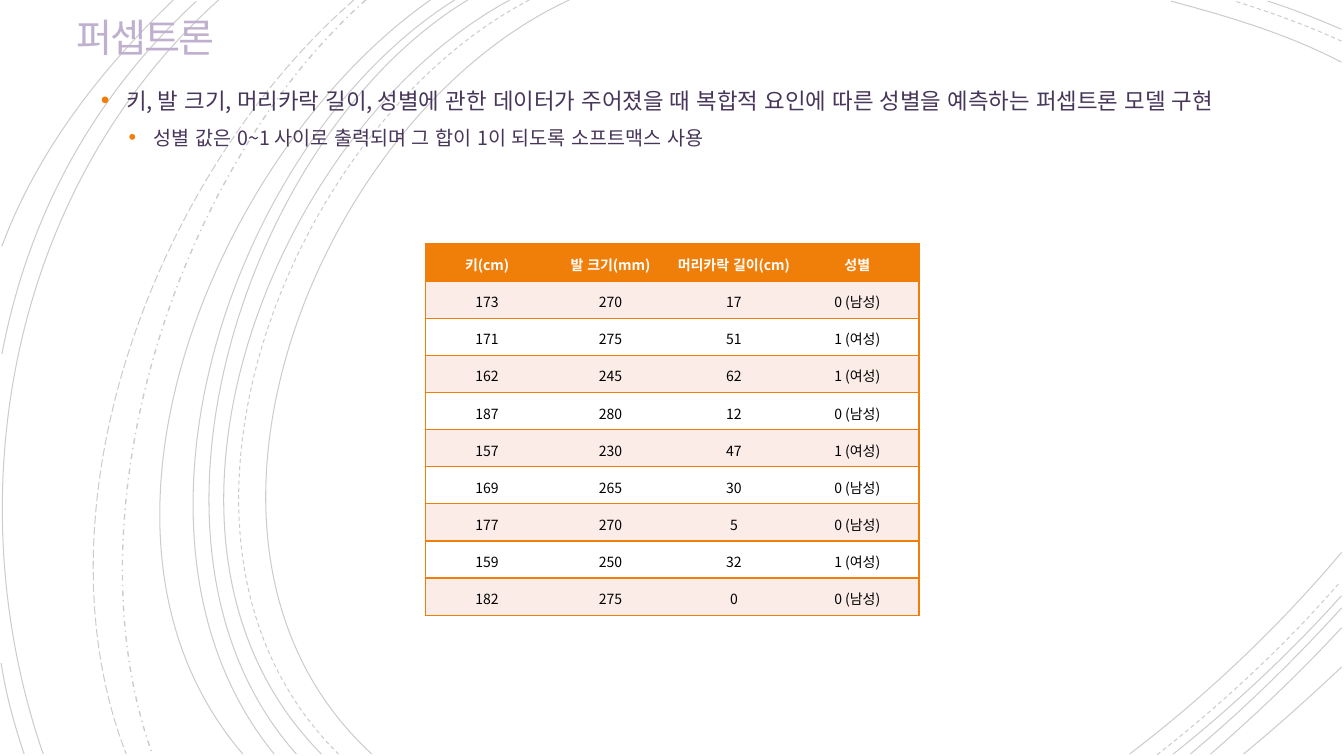
"""Builds the perceptron slide with its arcs, bullet text and data table."""
import pptx
import pptx.dml.color
import pptx.enum.dml
import pptx.enum.lang
import pptx.enum.text
import pptx.oxml
import pptx.oxml.ns
import pptx.util

Cm, Pt = pptx.util.Cm, pptx.util.Pt
Dash = pptx.enum.dml.MSO_LINE
Align = pptx.enum.text.PP_ALIGN
Anchor = pptx.enum.text.MSO_ANCHOR

TITLE = "퍼셉트론"
BODY = [
    ("키, 발 크기, 머리카락 길이, 성별에 관한 데이터가 주어졌을 때 복합적 요인에 따른 성별을 예측하는 퍼셉트론 모델 구현", 16, 1.3),
    ("성별 값은 0~1 사이로 출력되며 그 합이 1이 되도록 소프트맥스 사용", 14, 2),
]
HEAD = ["키(cm)", "발 크기(mm)", "머리카락 길이(cm)", "성별"]
DATA = [
    (173, 270, 17, 0), (171, 275, 51, 1), (162, 245, 62, 1),
    (187, 280, 12, 0), (157, 230, 47, 1), (169, 265, 30, 0),
    (177, 270, 5, 0), (159, 250, 32, 1), (182, 275, 0, 0),
]
SEX = ["0 (남성)", "1 (여성)"]
SANS, SLAB = "Noto Sans CJK KR", "Roboto Slab"
ORANGE, PINK, WHITE, BLACK = "F07F09", "FCECE7", "FFFFFF", "000000"
LILAC, PLUM = "BFB0CF", "48365A"

ARCS = {
    (Dash.SOLID, 0.75): [
        [(14.35, 0), (8, 2.92), (3.63, 13.72), (9.37, 19)],
        [(33.81, 1.57), (32.46, 0.86), (30.94, 0.41), (29.51, 0.03)],
        [(28.47, 19), (30.4, 17.53), (32.23, 15.8), (33.81, 13.92)],
        [(12.85, 0), (6.86, 3.23), (2.79, 13.64), (8.1, 19)],
        [(33.81, 0.74), (33.2, 0.48), (32.59, 0.23), (31.95, 0.03)],
        [(29.57, 19), (31.06, 17.81), (32.51, 16.46), (33.81, 15.01)],
        [(11.79, 0), (6.2, 3.38), (2.79, 13.74), (7.47, 19)],
        [(30, 19), (31.34, 17.88), (32.61, 16.64), (33.81, 15.32)],
        [(11.46, 0), (5.87, 3.51), (2.46, 13.54), (6.91, 19)],
        [(30.51, 19), (31.65, 18.01), (32.77, 16.94), (33.81, 15.82)],
        [(10.85, 0), (5.51, 3.73), (1.35, 13.44), (6.12, 19)],
        [(31.34, 19), (32.18, 18.31), (32.99, 17.58), (33.81, 16.81)],
        [(5.51, 0), (0.28, 4.7), (-1.17, 12.45), (1.09, 19)],
        [(4.95, 0.03), (2.34, 2.44), (0.71, 5.44), (0.05, 8.92)],
        [(0.03, 16.71), (0.15, 17.5), (0.36, 18.26), (0.61, 19)],
        [(4.37, 0), (2.54, 1.75), (0.94, 3.81), (0.05, 6.2)],
    ],
    (Dash.DASH, 0.75): [
        [(13.34, 0), (7.24, 3.18), (3.12, 13.64), (8.53, 19)],
        [(33.81, 1.04), (32.94, 0.64), (32, 0.3), (31.12, 0.03)],
        [(29.16, 19.02), (30.81, 17.73), (32.39, 16.26), (33.78, 14.66)],
    ],
    (Dash.DASH_DOT, 1): [[(9.22, 0), (4.47, 4.22), (1.65, 12.93), (3.84, 19)]],
    (Dash.LONG_DASH, 0.75): [[(8.92, 0), (3.99, 4.29), (0.74, 12.67), (3.18, 19)]],
}


def paint(item, code):
    if hasattr(item, "solid"):
        item.solid()
        item = item.fore_color
    item.rgb = pptx.dml.color.RGBColor.from_string(code)


def add(node, tag, **attrs):
    kid = pptx.oxml.ns.qn(tag)
    kid = node.makeelement(kid, {key: str(val) for key, val in attrs.items()})
    node.append(kid)
    return kid


def write(para, text, size, font, color, bold=False):
    run = para.add_run()
    run.text = text
    run.font.size, run.font.name, run.font.bold = Pt(size), font, bold
    run.font.language_id = pptx.enum.lang.MSO_LANGUAGE_ID.KOREAN
    paint(run.font.color, color)
    add(run.font._element, "a:ea", typeface=font)
    return run


def draw(shapes, arc, dash, width):
    first, *rest = [(Cm(x), Cm(y)) for x, y in arc]
    pen = shapes.build_freeform(*first)
    pen.add_line_segments(rest, close=False)
    shape = pen.convert_to_shape()
    shape.shadow.inherit = False
    shape.fill.background()
    shape.line.width, shape.line.dash_style = Pt(width), dash
    paint(shape.line.fill, BLACK)
    tone = shape._element.xpath("./p:spPr/a:ln/a:solidFill/a:srgbClr")[0]
    add(tone, "a:alpha", val=20000)
    route = shape._element.xpath(".//a:path")[0]
    curve = add(route, "a:cubicBezTo")
    for step in route.xpath("./a:lnTo"):
        curve.append(step[0])
        route.remove(step)


def box(shapes, *area):
    frame = shapes.add_textbox(*map(Cm, area)).text_frame
    frame.word_wrap = True
    return frame


def title(shapes):
    frame = box(shapes, 1.63, 0.08, 30.58, 1.57)
    frame.vertical_anchor = Anchor.MIDDLE
    frame.margin_left = frame.margin_right = frame.margin_top = Cm(0.3)
    frame.margin_bottom = 0
    para = frame.paragraphs[0]
    para.line_spacing = 0.85
    run = write(para, TITLE, 28, SLAB, LILAC)
    run.font._element.set("spc", "-150")


def body(shapes):
    frame = box(shapes, 1.63, 1.93, 30.58, 16.26)
    for rank, (text, size, left) in enumerate(BODY):
        para = frame.add_paragraph() if rank else frame.paragraphs[0]
        para.level = rank
        para.line_spacing, para.space_before = 1.2, Pt(5)
        props = para._p.get_or_add_pPr()
        props.set("marL", str(Cm(left)))
        props.set("indent", str(-Cm(0.64)))
        add(add(props, "a:buClr"), "a:srgbClr", val=ORANGE)
        add(props, "a:buSzPct", val=110000)
        add(props, "a:buFont", typeface="Arial")
        add(props, "a:buChar", char="•")
        write(para, text, size, SANS, PLUM)


def edge(cell, col):
    props = cell._tc.get_or_add_tcPr()
    shown = {"L": col == 0, "R": col == len(HEAD) - 1, "T": True, "B": True}
    for side, on in shown.items():
        line = add(props, "a:ln" + side, w=Pt(1))
        fill = add(line, "a:solidFill" if on else "a:noFill")
        if on:
            add(fill, "a:srgbClr", val=ORANGE)


def table(shapes):
    rows = [HEAD] + [(*map(str, nums), SEX[sex]) for *nums, sex in DATA]
    area = map(Cm, (10.72, 6.15, 12.44, 9.35))
    grid = shapes.add_table(len(rows), len(HEAD), *area).table
    for row, texts in enumerate(rows):
        top = row == 0
        back = ORANGE if top else PINK if row % 2 else WHITE
        for col, text in enumerate(texts):
            cell = grid.cell(row, col)
            cell.margin_left = cell.margin_right = 0
            cell.margin_top = cell.margin_bottom = 0
            cell.vertical_anchor = Anchor.MIDDLE
            edge(cell, col)
            paint(cell.fill, back)
            para = cell.text_frame.paragraphs[0]
            para.alignment, para.line_spacing = Align.CENTER, 1.2
            write(para, text, 10, SANS, WHITE if top else BLACK, top)


def main():
    deck = pptx.Presentation()
    deck.slide_width, deck.slide_height = Cm(33.87), Cm(19.05)
    shapes = deck.slides.add_slide(deck.slide_layouts[6]).shapes
    for (dash, width), arcs in ARCS.items():
        for arc in arcs:
            draw(shapes, arc, dash, width)
    title(shapes)
    body(shapes)
    table(shapes)
    deck.save("out.pptx")


if __name__ == "__main__":
    main()
